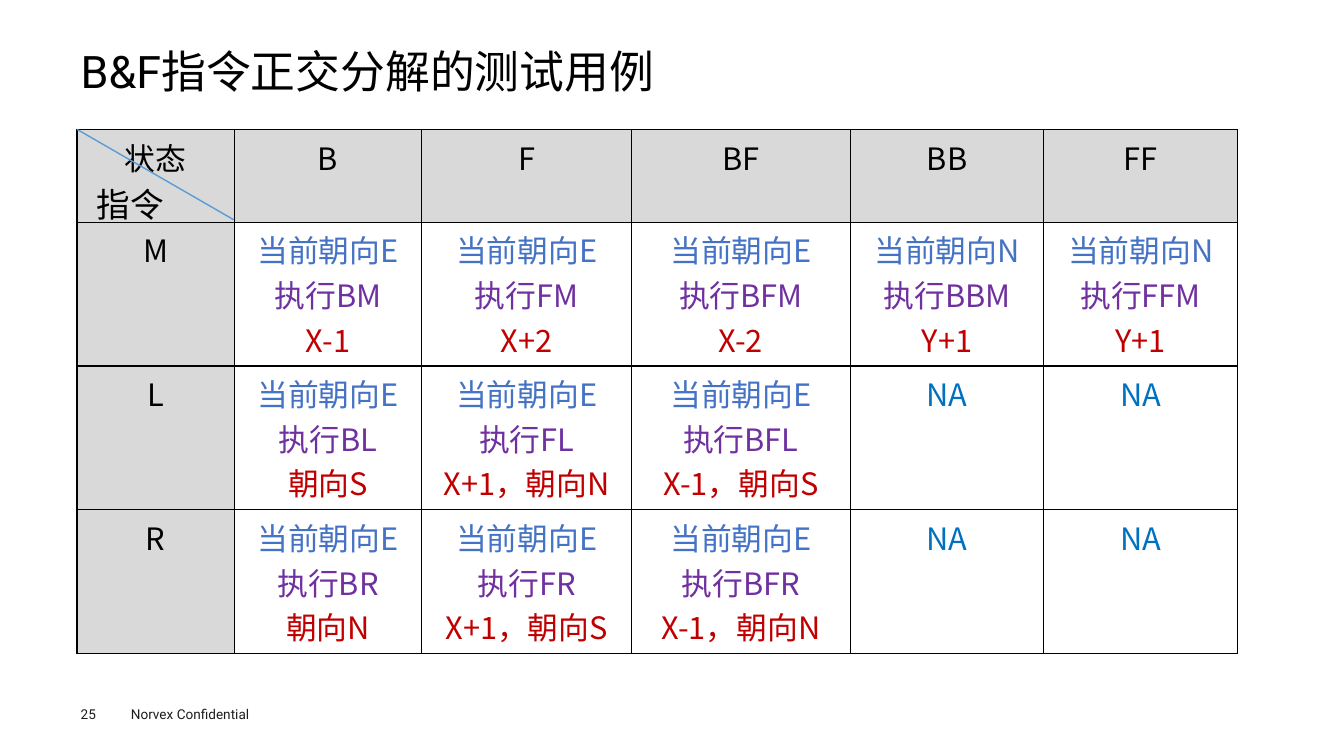
from lxml.etree import SubElement
from pptx import Presentation
from pptx.dml.color import RGBColor
from pptx.enum.shapes import MSO_CONNECTOR
from pptx.enum.text import MSO_ANCHOR, PP_ALIGN
from pptx.oxml.ns import qn
from pptx.util import Pt

BLACK = RGBColor(0x00, 0x00, 0x00)
FOOTER_INK = RGBColor(0x1D, 0x1D, 0x1B)
HEADER_GREY = RGBColor(0xD9, 0xD9, 0xD9)
HEADING_BLUE = RGBColor(0x44, 0x72, 0xC4)
COMMAND_PURPLE = RGBColor(0x70, 0x30, 0xA0)
RESULT_RED = RGBColor(0xC0, 0x00, 0x00)
NA_BLUE = RGBColor(0x00, 0x70, 0xC0)
DIAGONAL_BLUE = RGBColor(0x5B, 0x9B, 0xD5)

CJK_FONT = "Noto Sans CJK SC"
LATIN_FONT = "Roboto"

TABLE_LEFT, TABLE_TOP = 55, 92.4
COLUMN_WIDTHS = [112.4, 133.9, 149.8, 156.3, 138.3, 138.3]
ROW_HEIGHTS = [66.4] + [102.7] * 3
STATES = ["B", "F", "BF", "BB", "FF"]
OUTCOMES = {
    "M": ["X-1", "X+2", "X-2", "Y+1", "Y+1"],
    "L": ["朝向S", "X+1，朝向N", "X-1，朝向S", None, None],
    "R": ["朝向N", "X+1，朝向S", "X-1，朝向N", None, None],
}


def style_paragraph(paragraph, size, color, font_name):
    """Apply size, colour and typefaces to every run of a paragraph."""
    for run in paragraph.runs:
        run.font.size = Pt(size)
        run.font.color.rgb = color
        run.font.name = font_name
        SubElement(run.font._element, qn("a:ea"), typeface=CJK_FONT)


def add_label(slide, text, box, size, color, font_name, inset=None):
    """Add a single-line text box and return its text frame."""
    frame = slide.shapes.add_textbox(*map(Pt, box)).text_frame
    frame.word_wrap = True
    if inset is not None:
        frame.margin_left = frame.margin_right = Pt(inset)
        frame.margin_top = frame.margin_bottom = Pt(inset)
    frame.text = text
    style_paragraph(frame.paragraphs[0], size, color, font_name)
    return frame


def add_borders(cell):
    """Draw a thin black line on all four sides of a cell."""
    properties = cell._tc.get_or_add_tcPr()
    for side in ("a:lnL", "a:lnR", "a:lnT", "a:lnB"):
        line = SubElement(properties, qn(side), w=str(Pt(1)))
        ink = SubElement(line, qn("a:solidFill"))
        SubElement(ink, qn("a:srgbClr"), val=str(BLACK))


def fill_cell(cell, lines, colors, background=None):
    """Write centred coloured lines into a bordered cell."""
    add_borders(cell)
    if background is None:
        cell.fill.background()
    else:
        cell.fill.solid()
        cell.fill.fore_color.rgb = background
    cell.text_frame.text = "\n".join(lines)
    for paragraph, color in zip(cell.text_frame.paragraphs, colors):
        paragraph.alignment = PP_ALIGN.CENTER
        style_paragraph(paragraph, 22, color, CJK_FONT)


def add_case_table(slide):
    """Add the table of test cases by command and state."""
    table = slide.shapes.add_table(
        len(ROW_HEIGHTS), len(COLUMN_WIDTHS), Pt(TABLE_LEFT), Pt(TABLE_TOP),
        Pt(sum(COLUMN_WIDTHS)), Pt(sum(ROW_HEIGHTS))).table
    table.first_row = table.horz_banding = False
    for column, width in zip(table.columns, COLUMN_WIDTHS):
        column.width = Pt(width)
    for row, height in zip(table.rows, ROW_HEIGHTS):
        row.height = Pt(height)

    for column, heading in enumerate(["状态"] + STATES):
        fill_cell(table.cell(0, column), [heading], [BLACK], HEADER_GREY)
    for row, (command, outcomes) in enumerate(OUTCOMES.items(), 1):
        fill_cell(table.cell(row, 0), [command], [BLACK], HEADER_GREY)
        for column, (state, outcome) in enumerate(zip(STATES, outcomes), 1):
            cell = table.cell(row, column)
            if outcome is None:
                fill_cell(cell, ["NA"], [NA_BLUE])
                continue
            facing = "N" if state in ("BB", "FF") else "E"
            fill_cell(cell,
                      [f"当前朝向{facing}", f"执行{state}{command}", outcome],
                      [HEADING_BLUE, COMMAND_PURPLE, RESULT_RED])


def add_diagonal(slide, start, end):
    """Add the line that splits the corner cell."""
    diagonal = slide.shapes.add_connector(
        MSO_CONNECTOR.STRAIGHT, *map(Pt, start + end))
    diagonal.line.color.rgb = DIAGONAL_BLUE
    diagonal.line.width = Pt(1)
    SubElement(diagonal._element.spPr, qn("a:effectLst"))


def main():
    """Build the slide and save it."""
    presentation = Presentation()
    presentation.slide_width, presentation.slide_height = Pt(960), Pt(540)
    slide = presentation.slides.add_slide(presentation.slide_layouts[6])

    add_label(slide, "Norvex Confidential", (86.4, 500.4, 115.2, 19.4),
              9.7, FOOTER_INK, LATIN_FONT)
    add_label(slide, "25", (57.6, 504, 39.6, 11.5),
              9.7, FOOTER_INK, LATIN_FONT, inset=0)
    title = add_label(slide, "B&F指令正交分解的测试用例",
                      (57.6, 33.2, 844.6, 38.9), 32, BLACK, LATIN_FONT, inset=0)
    title.vertical_anchor = MSO_ANCHOR.MIDDLE
    title.paragraphs[0].line_spacing = 0.9

    add_case_table(slide)
    add_diagonal(slide, (TABLE_LEFT, TABLE_TOP), (167, 157))
    add_label(slide, "指令", (61.9, 127.8, 77, 36), 24, BLACK, CJK_FONT)

    presentation.save("out.pptx")


if __name__ == "__main__":
    main()
